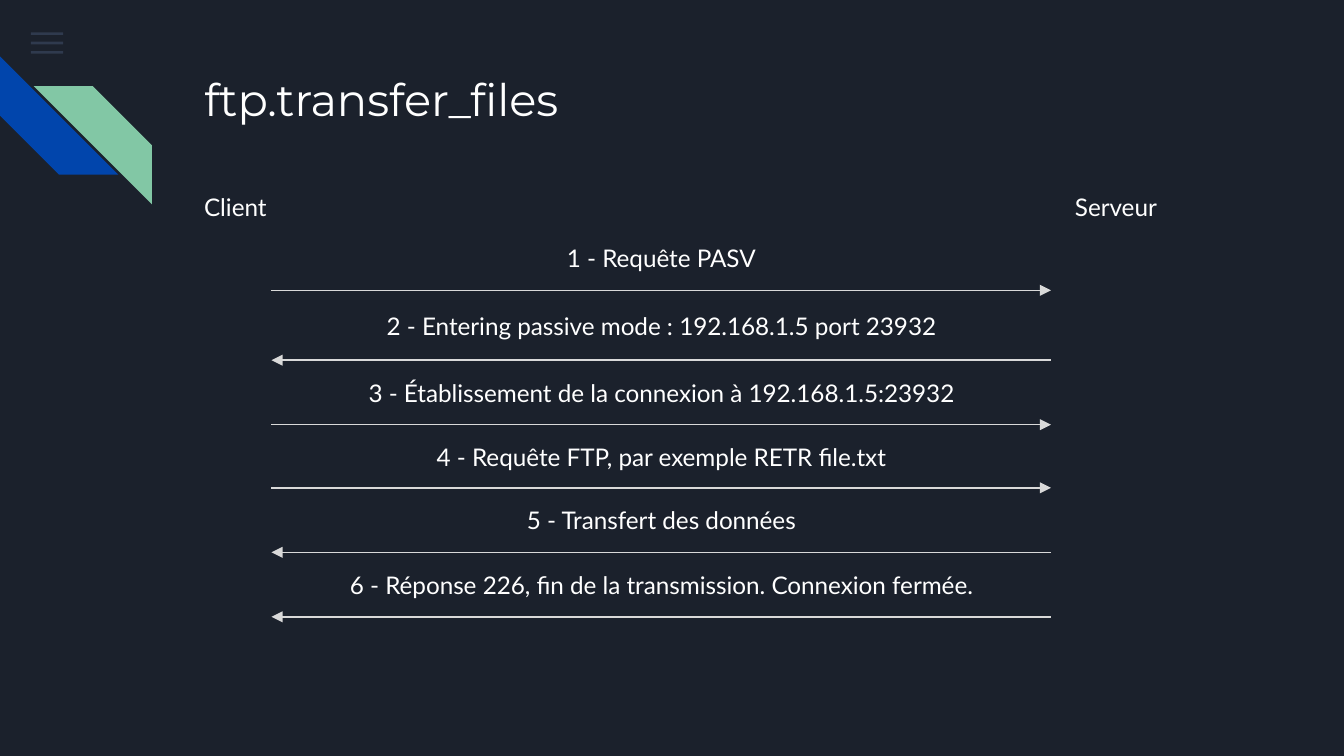
from dataclasses import dataclass

import pptx
import pptx.dml.color
import pptx.enum.shapes
import pptx.enum.text
import pptx.oxml
import pptx.oxml.ns
import pptx.util
from pptx.util import Inches

ALIGN = pptx.enum.text.PP_ALIGN
SHAPE = pptx.enum.shapes.MSO_SHAPE


@dataclass(frozen=True)
class Theme:
    background: str = "1B212C"
    text: str = "FFFFFF"
    arrow: str = "D9D9D9"
    menu: str = "55688B"
    menu_opacity: int = 36
    blue: str = "0145AC"
    green: str = "82C7A5"
    title_font: str = "Montserrat"
    body_font: str = "Lato"
    title_size: float = 24
    body_size: float = 13
    arrow_width: float = 0.75


@dataclass(frozen=True)
class Message:
    text: str
    label_top: float
    arrow_y: float
    to_server: bool


THEME = Theme()
CLIENT_X, SERVER_X = 2.02, 7.82
LABEL_HEIGHT = 0.48
ACTORS = (("Client", 1.42), ("Serveur", 7.9))
MESSAGES = (
    Message("1 - Requête PASV", 1.68, 2.16, True),
    Message("2 - Entering passive mode : 192.168.1.5 port 23932", 2.18, 2.68, False),
    Message("3 - Établissement de la connexion à 192.168.1.5:23932", 2.68, 3.16, True),
    Message("4 - Requête FTP, par exemple RETR file.txt", 3.16, 3.63, True),
    Message("5 - Transfert des données", 3.63, 4.11, False),
    Message("6 - Réponse 226, fin de la transmission. Connexion fermée.", 4.11, 4.59, False),
)


def rgb(color: str):
    return pptx.dml.color.RGBColor.from_string(color)


def add_xml(parent, tag: str, **attributes: str) -> None:
    element = pptx.oxml.parse_xml(f"<a:{tag} {pptx.oxml.ns.nsdecls('a')}/>")
    for name, value in attributes.items():
        element.set(name, value)
    parent.append(element)


def write(tf, text: str, font: str, size: float, align=ALIGN.LEFT):
    """Put one run into a padded, top-anchored frame and return its paragraph."""
    tf.word_wrap = True
    tf.auto_size = pptx.enum.text.MSO_AUTO_SIZE.NONE
    tf.vertical_anchor = pptx.enum.text.MSO_ANCHOR.TOP
    tf.margin_left = tf.margin_right = tf.margin_top = tf.margin_bottom = Inches(0.1)
    p = tf.paragraphs[0]
    p.alignment = align
    p.space_before = pptx.util.Pt(0)
    r = p.add_run()
    r.text = text
    r.font.name = font
    r.font.size = pptx.util.Pt(size)
    r.font.color.rgb = rgb(THEME.text)
    return p


def add_label(s, text: str, left: float, top: float, width: float, align=ALIGN.LEFT) -> None:
    box = s.shapes.add_textbox(Inches(left), Inches(top), Inches(width), Inches(LABEL_HEIGHT))
    p = write(box.text_frame, text, THEME.body_font, THEME.body_size, align)
    p.line_spacing = 1.15
    p.space_after = pptx.util.Pt(16)


def add_solid(s, kind, left: float, top: float, width: float, height: float, color: str):
    sp = s.shapes.add_shape(kind, Inches(left), Inches(top), Inches(width), Inches(height))
    sp.shadow.inherit = False
    sp.fill.solid()
    sp.fill.fore_color.rgb = rgb(color)
    sp.line.fill.background()
    return sp


def add_decoration(s) -> None:
    for row in range(3):
        bar = add_solid(s, SHAPE.RECTANGLE, 0.23, 0.24 + 0.07 * row, 0.24, 0.02, THEME.menu)
        color = bar._element.spPr.find(".//" + pptx.oxml.ns.qn("a:srgbClr"))
        add_xml(color, "alpha", val=str(THEME.menu_opacity * 1000))
    blue = add_solid(s, SHAPE.DIAGONAL_STRIPE, 0, 0.42, 0.88, 0.88, THEME.blue)
    blue.rotation = 270
    green = add_solid(s, SHAPE.DIAGONAL_STRIPE, 0.25, 0.64, 0.88, 0.88, THEME.green)
    green._element.spPr.find(pptx.oxml.ns.qn("a:xfrm")).set("flipH", "1")


def add_message(s, message: Message) -> None:
    start, end = (CLIENT_X, SERVER_X) if message.to_server else (SERVER_X, CLIENT_X)
    y = Inches(message.arrow_y)
    arrow = s.shapes.add_connector(
        pptx.enum.shapes.MSO_CONNECTOR.STRAIGHT, Inches(start), y, Inches(end), y)
    arrow.line.color.rgb = rgb(THEME.arrow)
    arrow.line.width = pptx.util.Pt(THEME.arrow_width)
    add_xml(arrow.line._get_or_add_ln(), "tailEnd", type="triangle")
    add_xml(arrow._element.spPr, "effectLst")
    add_label(s, message.text, CLIENT_X, message.label_top, SERVER_X - CLIENT_X, ALIGN.CENTER)


def main() -> None:
    prs = pptx.Presentation()
    prs.slide_width = Inches(10)
    prs.slide_height = prs.slide_width * 9 // 16
    s = prs.slides.add_slide(prs.slide_layouts.get_by_name("Title Only"))
    s.background.fill.solid()
    s.background.fill.fore_color.rgb = rgb(THEME.background)

    add_decoration(s)
    title = s.shapes.title
    title.left, title.top = Inches(1.42), Inches(0.43)
    title.width, title.height = Inches(7.7), Inches(1)
    write(title.text_frame, "ftp.transfer_files", THEME.title_font, THEME.title_size)
    for name, left in ACTORS:
        add_label(s, name, left, 1.3, 0.85)
    for message in MESSAGES:
        add_message(s, message)
    prs.save("out.pptx")


if __name__ == "__main__":
    main()
